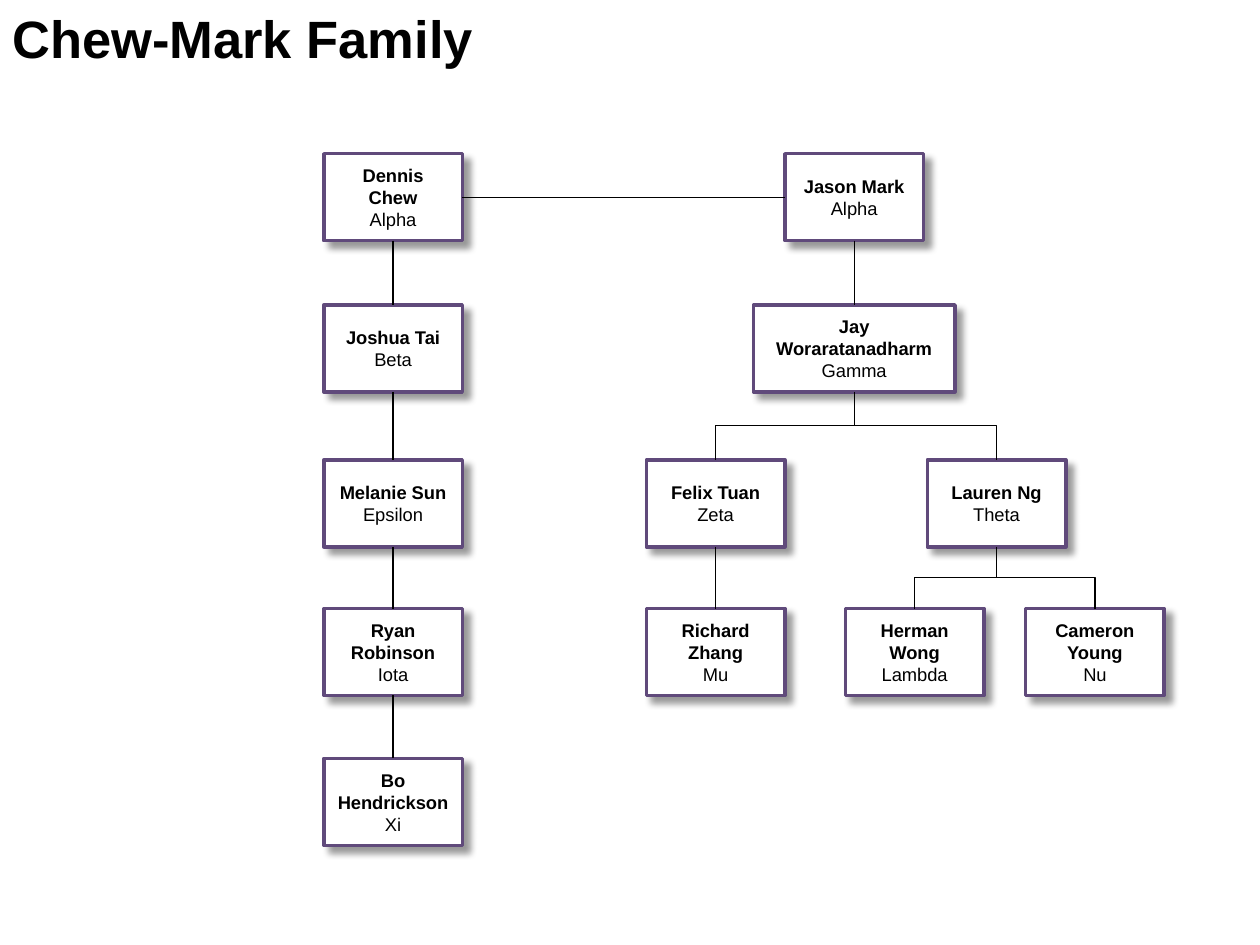
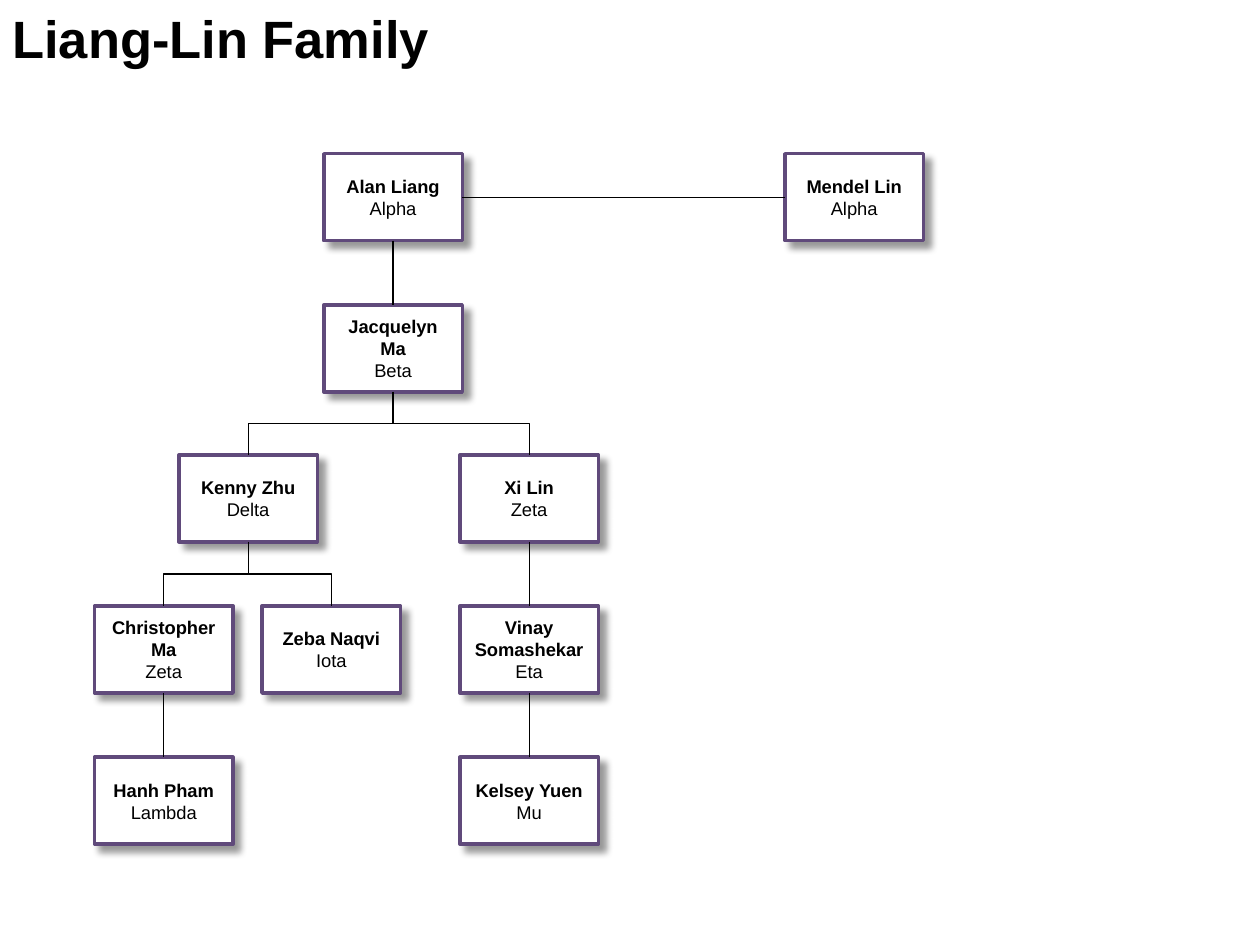
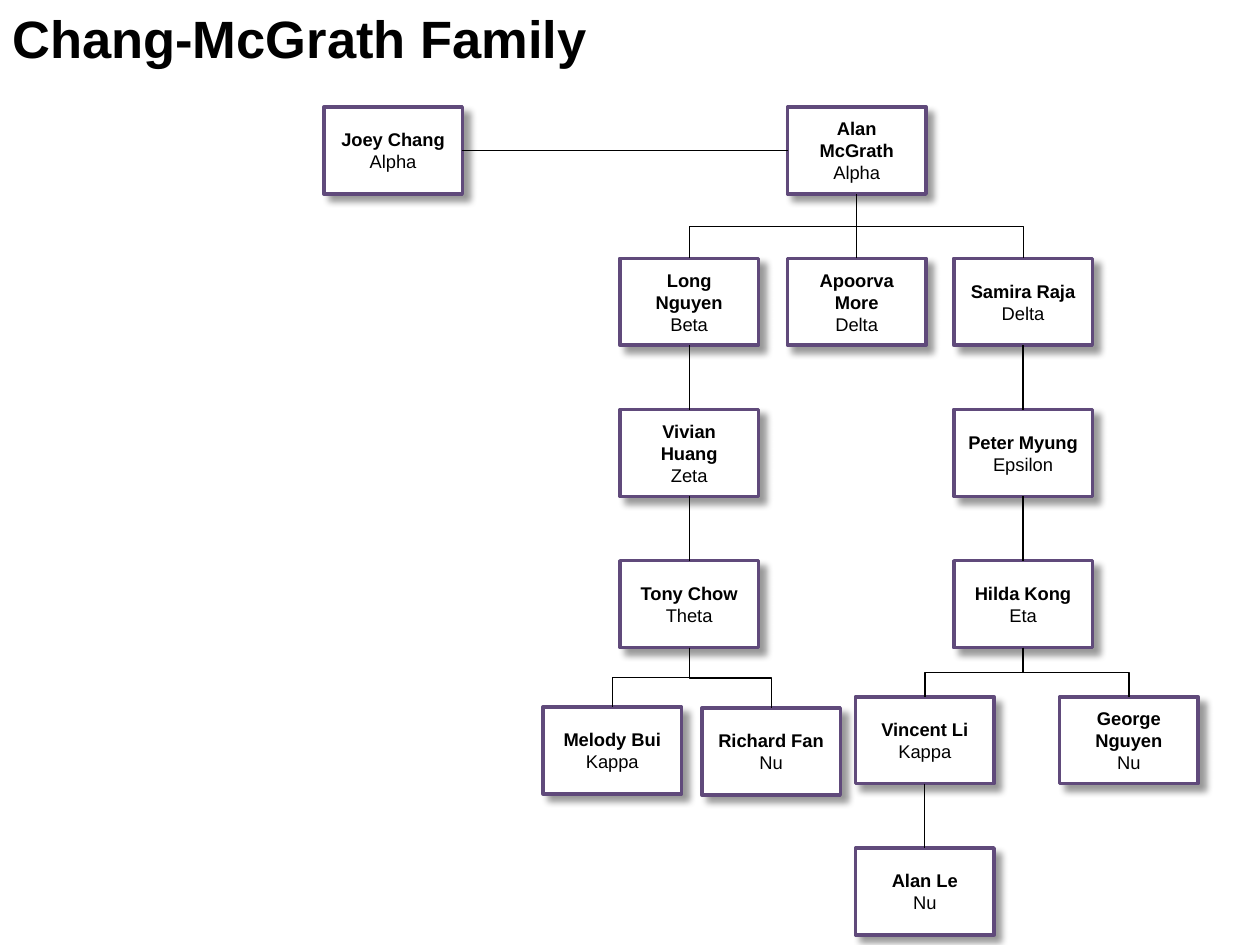
"""Builds the family tree slides, one family on each slide."""
from dataclasses import dataclass

from lxml import etree
from pptx import Presentation
from pptx.dml.color import RGBColor
from pptx.enum.shapes import MSO_CONNECTOR, MSO_SHAPE
from pptx.enum.text import MSO_ANCHOR, PP_ALIGN
from pptx.oxml.ns import qn
from pptx.util import Inches, Pt

STRAIGHT, ELBOW = MSO_CONNECTOR.STRAIGHT, MSO_CONNECTOR.ELBOW
RECTANGLE = MSO_SHAPE.RECTANGLE
MIDDLE = MSO_ANCHOR.MIDDLE
CENTER = PP_ALIGN.CENTER
TOP_SITE, LEFT_SITE, BOTTOM_SITE, RIGHT_SITE = range(4)
DEGREE = 60000


@dataclass(frozen=True)
class Theme:
    """Colours, type and sizes that all slides share."""
    font: str = "Arial"
    ink: RGBColor = RGBColor(0x00, 0x00, 0x00)
    card_fill: RGBColor = RGBColor(0xFF, 0xFF, 0xFF)
    card_border: RGBColor = RGBColor(0x60, 0x4A, 0x7B)
    title_size: Pt = Pt(30)
    card_size: Pt = Pt(10.5)
    border_width: Pt = Pt(2)
    link_width: Pt = Pt(0.75)
    shadow_blur: Pt = Pt(4)
    shadow_distance: Pt = Pt(5)
    shadow_angle: int = 45
    shadow_opacity: int = 40
    card_height: float = 0.69


THEME = Theme()


@dataclass(frozen=True)
class Member:
    """A person with a pledge class, a place in inches and the members below."""
    name: str
    pledge_class: str
    center: float
    top: float
    littles: tuple = ()
    width: float = 1.1


FAMILIES = {
    "Chew-Mark Family": (
        Member("Dennis Chew", "Alpha", 3.12, 1.22, (
            Member("Joshua Tai", "Beta", 3.12, 2.42, (
                Member("Melanie Sun", "Epsilon", 3.12, 3.65, (
                    Member("Ryan Robinson", "Iota", 3.12, 4.83, (
                        Member("Bo Hendrickson", "Xi", 3.12, 6.02),)),)),)),)),
        Member("Jason Mark", "Alpha", 6.78, 1.22, (
            Member("Jay Woraratanadharm", "Gamma", 6.78, 2.42, (
                Member("Felix Tuan", "Zeta", 5.68, 3.65, (
                    Member("Richard Zhang", "Mu", 5.68, 4.83),)),
                Member("Lauren Ng", "Theta", 7.91, 3.65, (
                    Member("Herman Wong", "Lambda", 7.26, 4.83),
                    Member("Cameron Young", "Nu", 8.69, 4.83))),
            ), width=1.6),)),
    ),
    "Liang-Lin Family": (
        Member("Alan Liang", "Alpha", 3.12, 1.22, (
            Member("Jacquelyn Ma", "Beta", 3.12, 2.42, (
                Member("Kenny Zhu", "Delta", 1.97, 3.61, (
                    Member("Christopher Ma", "Zeta", 1.3, 4.81, (
                        Member("Hanh Pham", "Lambda", 1.3, 6.01),)),
                    Member("Zeba Naqvi", "Iota", 2.63, 4.81))),
                Member("Xi Lin", "Zeta", 4.2, 3.61, (
                    Member("Vinay Somashekar", "Eta", 4.2, 4.81, (
                        Member("Kelsey Yuen", "Mu", 4.2, 6.01),)),)),
            )),)),
        Member("Mendel Lin", "Alpha", 6.78, 1.22),
    ),
    "Chang-McGrath Family": (
        Member("Joey Chang", "Alpha", 3.12, 0.85),
        Member("Alan McGrath", "Alpha", 6.8, 0.85, (
            Member("Long Nguyen", "Beta", 5.47, 2.05, (
                Member("Vivian Huang", "Zeta", 5.47, 3.25, (
                    Member("Tony Chow", "Theta", 5.47, 4.45, (
                        Member("Melody Bui", "Kappa", 4.86, 5.61),
                        Member("Richard Fan", "Nu", 6.12, 5.62))),)),)),
            Member("Apoorva More", "Delta", 6.8, 2.05),
            Member("Samira Raja", "Delta", 8.12, 2.05, (
                Member("Peter Myung", "Epsilon", 8.12, 3.25, (
                    Member("Hilda Kong", "Eta", 8.12, 4.45, (
                        Member("Vincent Li", "Kappa", 7.34, 5.53, (
                            Member("Alan Le", "Nu", 7.34, 6.73),)),
                        Member("George Nguyen", "Nu", 8.96, 5.53))),)),)),
        )),
    ),
}


def style_text(paragraph, size, bold):
    """Give the runs of a paragraph the theme's type."""
    for run in paragraph.runs:
        run.font.name = THEME.font
        run.font.size = size
        run.font.bold = bold
        run.font.color.rgb = THEME.ink


def add_title(slide, family_name):
    """Write the family name across the top of the slide."""
    title = slide.shapes.add_textbox(0, 0, Inches(10), Inches(0.61))
    title.text_frame.word_wrap = True
    title.text_frame.text = family_name
    style_text(title.text_frame.paragraphs[0], THEME.title_size, True)


def add_effects(shape):
    """Add an empty effect list to a shape and return it."""
    return etree.SubElement(shape._element.spPr, qn("a:effectLst"))


def cast_shadow(card):
    """Drop a soft shadow to the lower right of a card."""
    card.shadow.inherit = True
    shadow = etree.SubElement(
        add_effects(card), qn("a:outerShdw"),
        blurRad=str(THEME.shadow_blur), dist=str(THEME.shadow_distance),
        dir=str(THEME.shadow_angle * DEGREE), algn="tl", rotWithShape="0")
    color = etree.SubElement(shadow, qn("a:srgbClr"), val=str(THEME.ink))
    etree.SubElement(color, qn("a:alpha"), val=str(THEME.shadow_opacity * 1000))


def add_card(slide, member):
    """Draw a member's card with the name above the pledge class."""
    card = slide.shapes.add_shape(
        RECTANGLE, Inches(member.center - member.width / 2), Inches(member.top),
        Inches(member.width), Inches(THEME.card_height))
    card.fill.solid()
    card.fill.fore_color.rgb = THEME.card_fill
    card.line.color.rgb = THEME.card_border
    card.line.width = THEME.border_width
    cast_shadow(card)
    frame = card.text_frame
    frame.word_wrap = True
    frame.vertical_anchor = MIDDLE
    frame.text = f"{member.name}\n{member.pledge_class}"
    for paragraph, bold in zip(frame.paragraphs, (True, False)):
        paragraph.alignment = CENTER
        style_text(paragraph, THEME.card_size, bold)
    return card


def add_link(slide, kind, start, start_site, end, end_site):
    """Join two cards with a thin line."""
    link = slide.shapes.add_connector(kind, 0, 0, 0, 0)
    link.begin_connect(start, start_site)
    link.end_connect(end, end_site)
    link.line.color.rgb = THEME.ink
    link.line.width = THEME.link_width
    add_effects(link)
    return link


def turn_downward(link):
    """Turn an elbow so that it leaves and arrives vertically."""
    goes_right = link.end_x > link.begin_x
    across, down = link.width, link.height
    link.left += (across - down) // 2
    link.top += (down - across) // 2
    link.width, link.height = down, across
    transform = link._element.spPr.find(qn("a:xfrm"))
    transform.set("rot", str((270 if goes_right else 90) * DEGREE))
    transform.set("flipH", "1" if goes_right else "0")


def add_branch(slide, member):
    """Draw a member and everyone below, and return the member's card."""
    card = add_card(slide, member)
    for little in member.littles:
        little_card = add_branch(slide, little)
        kind = STRAIGHT if little.center == member.center else ELBOW
        link = add_link(slide, kind, card, BOTTOM_SITE, little_card, TOP_SITE)
        if kind == ELBOW:
            turn_downward(link)
    return card


def main():
    """Build one slide per family and save the deck."""
    deck = Presentation()
    deck.slide_width, deck.slide_height = Inches(10), Inches(7.5)
    for family_name, founders in FAMILIES.items():
        slide = deck.slides.add_slide(deck.slide_layouts[6])
        add_title(slide, family_name)
        first, second = (add_branch(slide, founder) for founder in founders)
        add_link(slide, STRAIGHT, first, RIGHT_SITE, second, LEFT_SITE)
    deck.save("out.pptx")


if __name__ == "__main__":
    main()
